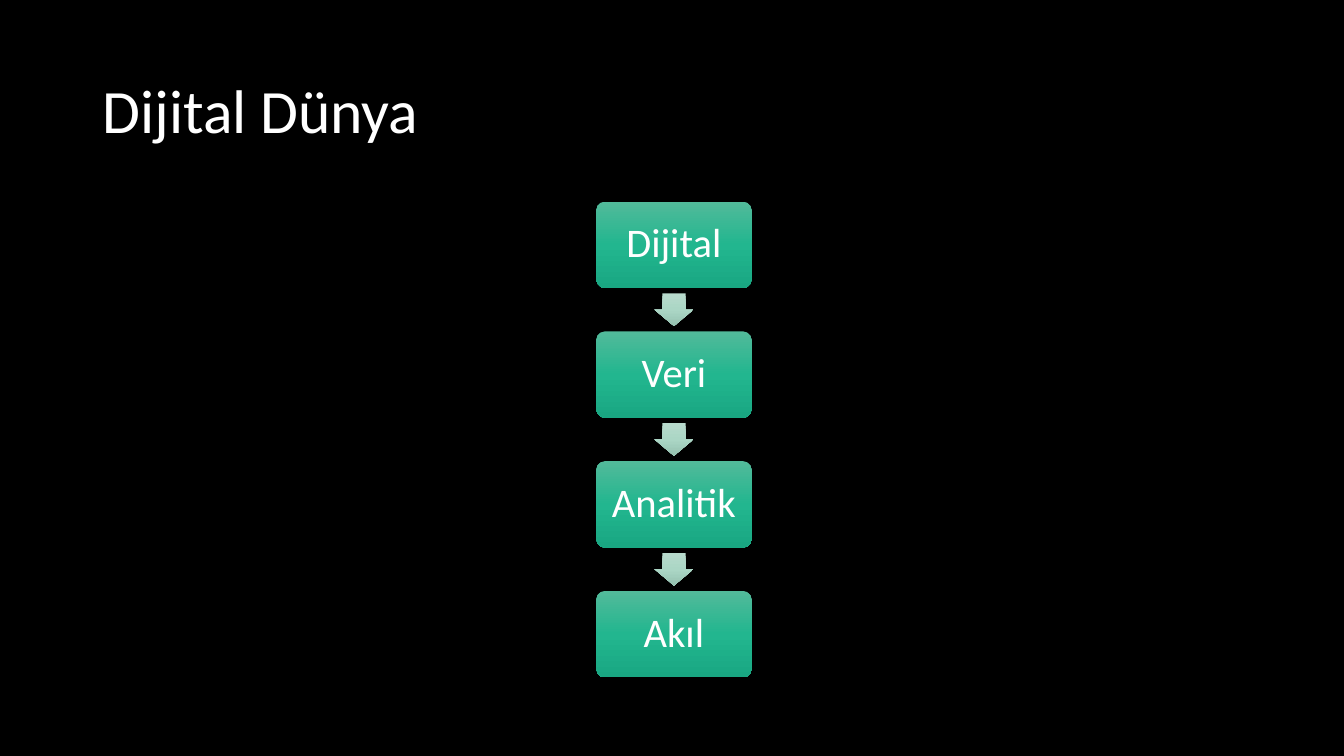
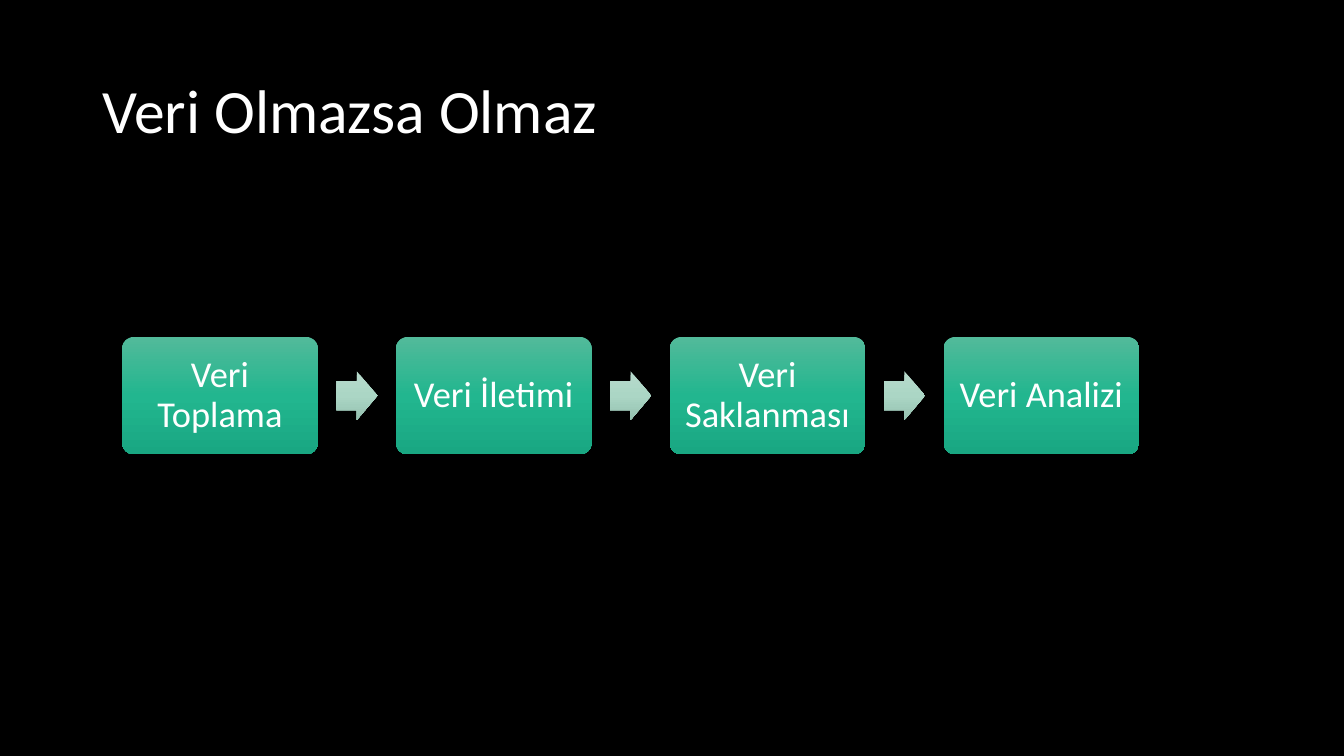
from copy import deepcopy

from pptx import Presentation
from pptx import util as u
from pptx.dml.color import RGBColor
from pptx.enum import shapes, text
from pptx.oxml.ns import qn

COLORS = {
    "background": "000000",
    "text": "FFFFFF",
    "card": ["52BA9A", "22B68F", "19A782"],
    "arrow": ["B7DACC", "ABD6C5", "95C1B0"],
}
FONT = "Calibri"

FLOWS = [
    {
        "title": "Dijital Dünya",
        "steps": ["Dijital", "Veri", "Analitik", "Akıl"],
        "left": 15.03, "top": 5.08, "width": 3.91, "height": 2.18,
        "pitch": (0, 3.27),
        "arrow": shapes.MSO_SHAPE.DOWN_ARROW, "arrow_size": (0.98, 0.82),
        "font_size": 29, "inset": 0.3,
    },
    {
        "title": "Veri Olmazsa Olmaz",
        "steps": ["Veri Toplama", "Veri İletimi", "Veri Saklanması", "Veri Analizi"],
        "left": 3.08, "top": 8.49, "width": 4.93, "height": 2.96,
        "pitch": (6.9, 0),
        "arrow": shapes.MSO_SHAPE.RIGHT_ARROW, "arrow_size": (1.04, 1.22),
        "font_size": 26, "inset": 0.28,
    },
]


def add_gradient_shape(page, kind, left, top, width, height, colors, adjustments):
    shape = page.shapes.add_shape(kind, u.Cm(left), u.Cm(top), u.Cm(width), u.Cm(height))
    shape.shadow.inherit = False
    shape.line.fill.background()
    for index, value in enumerate(adjustments):
        shape.adjustments[index] = value
    shape.fill.gradient()
    shape.fill.gradient_angle = 270
    stop_list = shape._element.spPr.find(qn("a:gradFill")).find(qn("a:gsLst"))
    stop_list.append(deepcopy(stop_list[0]))
    for stop, color, position in zip(shape.fill.gradient_stops, colors, (0, 0.5, 1)):
        stop.color.rgb = RGBColor.from_string(color)
        stop.position = position
    return shape


def write_text(box, words, size, alignment):
    frame = box.text_frame
    frame.word_wrap = True
    frame.vertical_anchor = text.MSO_ANCHOR.MIDDLE
    para = frame.paragraphs[0]
    para.alignment = alignment
    para.line_spacing = 0.9
    span = para.add_run()
    span.text = words
    span.font.name = FONT
    span.font.size = u.Pt(size)
    span.font.color.rgb = RGBColor.from_string(COLORS["text"])


deck = Presentation()
deck.slide_width = u.Cm(33.87)
deck.slide_height = u.Cm(19.05)

for flow in FLOWS:
    page = deck.slides.add_slide(deck.slide_layouts[6])
    page.background.fill.solid()
    page.background.fill.fore_color.rgb = RGBColor.from_string(COLORS["background"])

    title = page.shapes.add_textbox(u.Cm(2.33), u.Cm(1.01), u.Cm(29.21), u.Cm(3.68))
    write_text(title, flow["title"], 44, text.PP_ALIGN.LEFT)

    width, height = flow["width"], flow["height"]
    pitch_x, pitch_y = flow["pitch"]
    arrow_width, arrow_height = flow["arrow_size"]

    for index, step in enumerate(flow["steps"]):
        left = flow["left"] + index * pitch_x
        top = flow["top"] + index * pitch_y
        if index:
            middle_x = left + (width - pitch_x) / 2
            middle_y = top + (height - pitch_y) / 2
            add_gradient_shape(
                page, flow["arrow"],
                middle_x - arrow_width / 2, middle_y - arrow_height / 2,
                arrow_width, arrow_height, COLORS["arrow"], (0.6, 0.5),
            )
        card = add_gradient_shape(
            page, shapes.MSO_SHAPE.ROUNDED_RECTANGLE,
            left, top, width, height, COLORS["card"], (0.1,),
        )
        frame = card.text_frame
        frame.margin_left = frame.margin_right = u.Cm(flow["inset"])
        frame.margin_top = frame.margin_bottom = u.Cm(flow["inset"])
        write_text(card, step, flow["font_size"], text.PP_ALIGN.CENTER)

deck.save("out.pptx")
